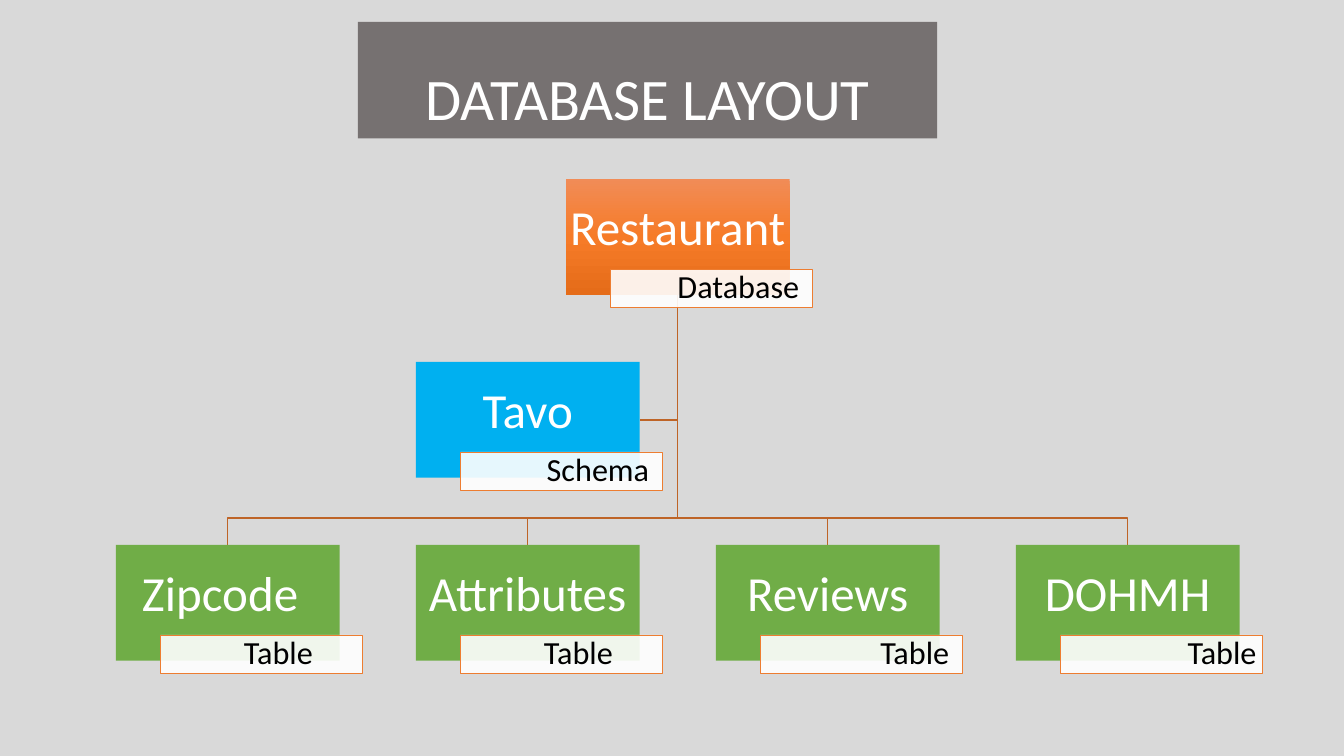
from copy import deepcopy

from lxml.etree import SubElement
from pptx import Presentation
from pptx.dml.color import RGBColor
from pptx.enum.shapes import MSO_SHAPE
from pptx.enum.text import MSO_ANCHOR, MSO_AUTO_SIZE, PP_ALIGN
from pptx.oxml.ns import qn
from pptx.util import Cm, Pt

BACKGROUND = RGBColor(0xD9, 0xD9, 0xD9)
TITLE_GREY = RGBColor(0x76, 0x71, 0x71)
WHITE = RGBColor(0xFF, 0xFF, 0xFF)
BLACK = RGBColor(0x00, 0x00, 0x00)
BLUE = RGBColor(0x00, 0xB0, 0xF0)
GREEN = RGBColor(0x70, 0xAD, 0x47)
ORANGE = RGBColor(0xED, 0x7D, 0x31)
BRANCH_ORANGE = RGBColor(0xBE, 0x64, 0x27)
ORANGE_GRADIENT = [
    (0, RGBColor(0xF1, 0x8C, 0x57)),
    (0.5, RGBColor(0xF6, 0x7B, 0x28)),
    (1, RGBColor(0xE5, 0x6C, 0x19)),
]

BOX_WIDTH, BOX_HEIGHT = 5.64, 2.92
LABEL_WIDTH, LABEL_HEIGHT = 5.09, 0.97
LABEL_SHIFT_X, LABEL_SHIFT_Y = 1.13, 2.27
FIRST_LEFT, COLUMN_STEP = 2.92, 7.56
FIRST_TOP, ROW_STEP = 4.51, 4.61
BUS_Y = 13.05
ROOT_COLUMN, SCHEMA_COLUMN = 1.5, 1
TABLES = [
    ("Zipcode\t", "Table\t"),
    ("Attributes", "Table \t"),
    ("Reviews", "Table "),
    ("DOHMH", "Table"),
]


def column_left(column):
    return FIRST_LEFT + column * COLUMN_STEP


def column_center(column):
    return column_left(column) + BOX_WIDTH / 2


def row_top(row):
    return FIRST_TOP + row * ROW_STEP


class OrganizationChart:
    font_name = "Calibri"

    def __init__(self, slide):
        self.slide = slide
        slide.background.fill.solid()
        slide.background.fill.fore_color.rgb = BACKGROUND

    def set_text(self, shape, text, size, color, alignment, anchor):
        frame = shape.text_frame
        frame.text = text
        frame.word_wrap = True
        frame.auto_size = MSO_AUTO_SIZE.NONE
        frame.vertical_anchor = anchor
        paragraph = frame.paragraphs[0]
        paragraph.alignment = alignment
        paragraph.line_spacing = 0.9
        paragraph._p.get_or_add_pPr().set("defTabSz", str(size * 44450))
        font = paragraph.runs[0].font
        font.name = self.font_name
        font.size = Pt(size)
        font.color.rgb = color

    def title(self, text):
        shape = self.slide.shapes.title
        shape.left, shape.top = Cm(9.02), Cm(0.55)
        shape.width, shape.height = Cm(14.6), Cm(2.94)
        shape.fill.solid()
        shape.fill.fore_color.rgb = TITLE_GREY
        self.set_text(shape, text, 42, WHITE, PP_ALIGN.CENTER, MSO_ANCHOR.BOTTOM)

    def branch(self, *points):
        corners = [(Cm(x), Cm(y)) for x, y in points]
        builder = self.slide.shapes.build_freeform(*corners[0])
        builder.add_line_segments(corners[1:], close=False)
        shape = builder.convert_to_shape()
        shape.shadow.inherit = False
        shape.fill.background()
        shape.line.color.rgb = BRANCH_ORANGE
        shape.line.width = Pt(1)

    def rectangle(self, left, top, width, height, insets):
        shape = self.slide.shapes.add_shape(
            MSO_SHAPE.RECTANGLE, Cm(left), Cm(top), Cm(width), Cm(height))
        shape.shadow.inherit = False
        frame = shape.text_frame
        (frame.margin_left, frame.margin_top,
         frame.margin_right, frame.margin_bottom) = map(Cm, insets)
        return shape

    def box(self, text, left, top, color):
        shape = self.rectangle(left, top, BOX_WIDTH, BOX_HEIGHT,
                               (0.06, 0.06, 0.06, 0.41))
        if color is None:
            self.fill_gradient(shape)
        else:
            shape.fill.solid()
            shape.fill.fore_color.rgb = color
        shape.line.fill.background()
        self.set_text(shape, text, 35, WHITE, PP_ALIGN.CENTER, MSO_ANCHOR.MIDDLE)

    def fill_gradient(self, shape):
        shape.fill.gradient()
        shape.fill.gradient_angle = 270
        stop_list = shape._element.spPr.find(".//" + qn("a:gsLst"))
        stop_list.insert(1, deepcopy(stop_list[0]))
        for stop, (position, color) in zip(shape.fill.gradient_stops, ORANGE_GRADIENT):
            stop.position = position
            stop.color.rgb = color

    def label(self, text, left, top):
        shape = self.rectangle(left, top, LABEL_WIDTH, LABEL_HEIGHT,
                               (0.15, 0.04, 0.15, 0.04))
        shape.fill.solid()
        shape.fill.fore_color.rgb = WHITE
        fill_color = shape._element.spPr.find(qn("a:solidFill"))[0]
        SubElement(fill_color, qn("a:alpha")).set("val", "90000")
        shape.line.color.rgb = ORANGE
        shape.line.width = Pt(0.5)
        self.set_text(shape, text, 23, BLACK, PP_ALIGN.RIGHT, MSO_ANCHOR.MIDDLE)

    def node(self, text, label, column, row, color=None):
        left, top = column_left(column), row_top(row)
        self.box(text, left, top, color)
        self.label(label, left + LABEL_SHIFT_X, top + LABEL_SHIFT_Y)


def main():
    presentation = Presentation()
    presentation.slide_width, presentation.slide_height = Cm(33.87), Cm(19.05)
    chart = OrganizationChart(
        presentation.slides.add_slide(presentation.slide_layouts[5]))
    chart.title("DATABASE LAYOUT")

    trunk_x, trunk_y = column_center(ROOT_COLUMN), row_top(0) + BOX_HEIGHT
    schema_y = row_top(1) + BOX_HEIGHT / 2
    schema_right = column_left(SCHEMA_COLUMN) + BOX_WIDTH
    chart.branch((trunk_x, trunk_y), (trunk_x, schema_y), (schema_right, schema_y))
    for column in reversed(range(len(TABLES))):
        center = column_center(column)
        chart.branch((trunk_x, trunk_y), (trunk_x, BUS_Y),
                     (center, BUS_Y), (center, row_top(2)))

    chart.node("Restaurant", "Database ", ROOT_COLUMN, 0)
    for column, (name, label) in enumerate(TABLES):
        chart.node(name, label, column, 2, GREEN)
    chart.node("Tavo", "Schema ", SCHEMA_COLUMN, 1, BLUE)

    presentation.save("out.pptx")


if __name__ == "__main__":
    main()
